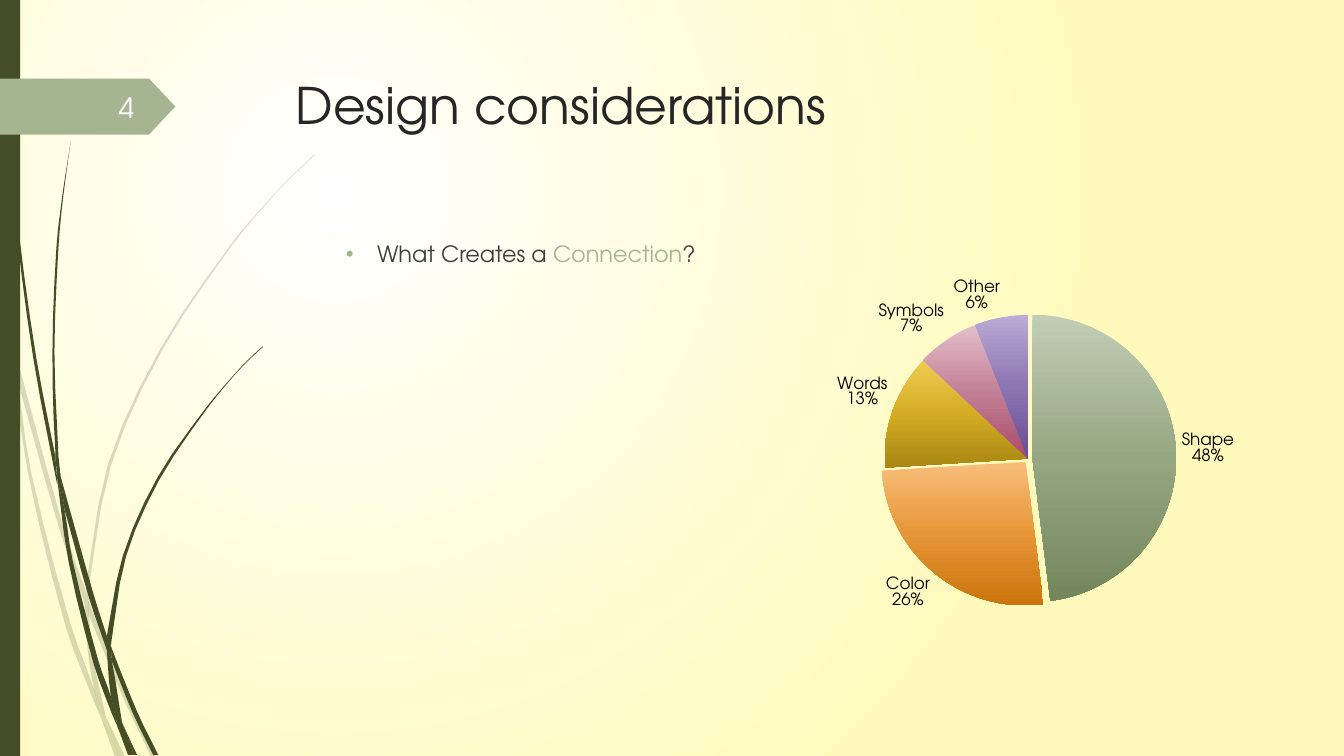
from math import dist

from pptx import Presentation
from pptx.chart.data import CategoryChartData
from pptx.dml.color import RGBColor
from pptx.enum.chart import XL_CHART_TYPE, XL_LABEL_POSITION
from pptx.enum.shapes import MSO_SHAPE
from pptx.enum.text import MSO_ANCHOR, MSO_AUTO_SIZE, PP_ALIGN
from pptx.oxml import parse_xml
from pptx.oxml.ns import nsdecls
from pptx.util import Inches, Pt

FONT = "TeX Gyre Adventor"
OLIVE, SAGE, INK, GREY = "444D26", "A5B592", "262626", "404040"
WIDTH, HEIGHT = Inches(13.33), Inches(7.5)

TITLE = "Design considerations"
NUMBER = "4"
QUESTION = [("What Creates a ", GREY), ("Connection", SAGE), ("?", GREY)]
BACKDROP = ["FFFFFF", "FFFABB"]

SLICES = [
    ("Shape", 0.48, 3, ["C2CDB5", "96A783", "73865B"]),
    ("Color", 0.26, 3, ["F8BE7A", "E69637", "CB740D"]),
    ("Words", 0.13, 0, ["EECB53", "D4AC24", "A98713"]),
    ("Symbols", 0.07, 0, ["E4BECB", "C28096", "AB4A6A"]),
    ("Other", 0.06, 0, ["BBABD5", "8D75B2", "684C94"]),
]
PLOT = {"x": 0.159, "y": 0.195, "w": 0.673, "h": 0.69}

AREAS = {
    "title": (21.25, 9.07, 73.14, 18.67),
    "question": (21.23, 31.07, 35.41, 55.07),
    "pie": (58.96, 30.93, 35.41, 55.07),
    "bar": (0, 0, 1.5, 100),
    "tag": (0, 10.4, 13.05, 7.4),
    "number": (4.35, 11.47, 6.38, 5.33),
}

PALE_GRASS = [
    ([(0, 2.82), (0.09, 3.22), (0.11, 3.5)], [(0.1, 3.44), (0, 2.99)]),
    ([(0.14, 3.45), (0.62, 5.2), (0.85, 5.86)], [(0.84, 5.99), (0.58, 5.22), (0.17, 3.76)]),
    ([(0.88, 5.96), (0.92, 6.07), (1.27, 6.92), (1.55, 7.51)], [(1.5, 7.51), (1.23, 6.94), (0.88, 6.1)]),
    ([(1.05, 7.11), (1.24, 7.51)], [(1.19, 7.51)]),
    ([(0.11, 3.5), (0.17, 3.76), (0.31, 4.69), (0.7, 6.19), (0.93, 6.83), (0.99, 7.07), (1.01, 7.14)],
     [(0.92, 6.93), (0.65, 6.21), (0.28, 4.7), (0.11, 3.5)]),
    ([(0.84, 5.99), (0.88, 6.08), (0.91, 6.46), (1.05, 7.11)], [(0.96, 6.92), (0.93, 6.83), (0.87, 6.46), (0.84, 5.99)]),
    ([(3.12, 1.53), (2.89, 1.75), (2.68, 1.97), (2.28, 2.44), (1.58, 3.48), (1.07, 4.61), (0.85, 5.84)],
     [(0.88, 5.96), (0.88, 5.84), (1.1, 4.62), (1.6, 3.49), (2.29, 2.45), (2.68, 1.98), (2.9, 1.75), (3.12, 1.54)]),
    ([(1.01, 7.14), (1.19, 7.51)], [(1.14, 7.51)]),
    ([(0.85, 5.86), (0.88, 5.96), (0.88, 6.1)], [(0.88, 6.08), (0.84, 5.99)]),
    ([(0.93, 6.83), (0.96, 6.92), (1.05, 7.11), (1.19, 7.51)], [(1.01, 7.14), (0.99, 7.07)]),
]
DARK_GRASS = [
    ([(0.03, 0), (0.04, 0.48), (0.07, 1.1), (0.17, 2.33), (0.33, 3.55), (0.56, 4.77), (0.57, 4.81)],
     [(0.55, 4.53), (0.36, 3.55), (0.19, 2.32), (0.08, 1.09), (0.05, 0.48), (0.04, 0)]),
    ([(0.6, 4.72), (0.93, 5.9), (1.06, 6.31)], [(1.06, 6.45), (0.88, 5.92), (0.64, 5.05)]),
    ([(1.1, 6.41), (1.13, 6.49), (1.36, 7.06), (1.57, 7.49)], [(1.52, 7.49), (1.32, 7.08), (1.11, 6.56)]),
    ([(0.57, 4.77), (0.64, 5.05), (0.72, 5.56), (0.98, 6.57), (1.1, 6.91), (1.17, 7.22)],
     [(1.11, 7.08), (0.93, 6.59), (0.68, 5.57), (0.57, 4.77)]),
    ([(0.7, 1.41), (0.62, 1.93), (0.56, 2.45), (0.52, 3.49), (0.55, 4.49), (0.6, 4.72)],
     [(0.58, 4.53), (0.54, 3.49), (0.58, 2.45), (0.63, 1.93), (0.7, 1.41)]),
    ([(1.22, 7.19), (1.36, 7.49)], [(1.33, 7.49)]),
    ([(0.55, 4.49), (0.6, 4.72), (0.64, 5.05)], [(0.57, 4.77), (0.55, 4.53)]),
    ([(2.6, 3.44), (2.45, 3.58), (2.31, 3.73), (2.04, 4.05), (1.56, 4.74), (1.22, 5.51), (1.06, 6.31)],
     [(1.1, 6.41), (1.11, 6.33), (1.25, 5.52), (1.58, 4.76), (2.05, 4.06), (2.31, 3.74), (2.45, 3.59), (2.61, 3.44)]),
    ([(1.17, 7.22), (1.31, 7.49)], [(1.27, 7.49)]),
    ([(1.06, 6.45), (1.11, 6.56), (1.21, 7.16), (1.22, 7.19)], [(1.16, 7.06), (1.1, 6.91), (1.06, 6.45)]),
    ([(1.06, 6.31), (1.1, 6.41), (1.11, 6.56)], [(1.09, 6.51), (1.06, 6.45)]),
    ([(1.1, 6.91), (1.16, 7.06), (1.22, 7.19), (1.33, 7.49)], [(1.3, 7.49), (1.17, 7.22), (1.16, 7.17)]),
]


def color(value):
    return RGBColor.from_string(value)


def area(name):
    return [int(share * side / 100) for share, side in zip(AREAS[name], (WIDTH, HEIGHT) * 2)]


def style(font, size, value):
    font.name, font.size = FONT, Pt(size)
    font.color.rgb = color(value)


def paint(shape, value):
    shape.shadow.inherit = False
    shape.fill.solid()
    shape.fill.fore_color.rgb = color(value)
    shape.line.fill.background()


def gradient(colors, direction):
    step = 100000 // (len(colors) - 1)
    stops = "".join(f'<a:gs pos="{i * step}"><a:srgbClr val="{value}"/></a:gs>'
                    for i, value in enumerate(colors))
    return f'<a:gradFill {nsdecls("a")} rotWithShape="1"><a:gsLst>{stops}</a:gsLst>{direction}</a:gradFill>'


def smooth(knots, steps=3):
    ends = [knots[0], *knots, knots[-1]]
    points = []
    for a, b, c, d in zip(ends, ends[1:], ends[2:], ends[3:]):
        pull, push = dist(b, c) / dist(a, c), dist(b, c) / dist(b, d)
        for t in (i / steps for i in range(steps)):
            points.append(tuple(
                q + (r - q) * t * t * (3 - 2 * t)
                + (r - p) * pull * t * (1 - t) ** 2 - (s - q) * push * t * t * (1 - t)
                for p, q, r, s in zip(a, b, c, d)))
    return points + [knots[-1]]


def add_grass(slide, blades, opacity):
    for edges in blades:
        outline = [(1000 * x, 1000 * y) for edge in edges for x, y in smooth(edge)]
        builder = slide.shapes.build_freeform(*outline[0], scale=Inches(1) / 1000)
        builder.add_line_segments(outline[1:], close=True)
        blade = builder.convert_to_shape()
        paint(blade, OLIVE)
        if opacity < 100:
            tint = blade._element.spPr.xpath("./a:solidFill/a:srgbClr")[0]
            tint.append(parse_xml(f'<a:alpha {nsdecls("a")} val="{opacity * 1000}"/>'))


def add_decor(slide):
    circle = '<a:path path="circle"><a:fillToRect l="50000" t="50000" r="100000" b="100000"/></a:path>'
    slide._element.cSld.insert(0, parse_xml(
        f'<p:bg {nsdecls("p")}><p:bgPr>{gradient(BACKDROP, circle)}'
        f'<a:effectLst {nsdecls("a")}/></p:bgPr></p:bg>'))
    add_grass(slide, PALE_GRASS, 20)
    add_grass(slide, DARK_GRASS, 100)
    paint(slide.shapes.add_shape(MSO_SHAPE.RECTANGLE, *area("bar")), OLIVE)
    tag = slide.shapes.add_shape(MSO_SHAPE.PENTAGON, *area("tag"))
    tag.adjustments[0] = 0.47
    paint(tag, SAGE)
    number = slide.shapes.add_textbox(*area("number")).text_frame
    number.word_wrap, number.vertical_anchor = True, MSO_ANCHOR.MIDDLE
    number.text = NUMBER
    number.paragraphs[0].alignment = PP_ALIGN.RIGHT
    style(number.paragraphs[0].runs[0].font, 20, "FEFFFF")


def add_words(slide):
    title, question = slide.placeholders
    for holder, name in ((title, "title"), (question, "question")):
        holder.left, holder.top, holder.width, holder.height = area(name)
        holder.text_frame.auto_size = MSO_AUTO_SIZE.NONE
        holder.text_frame.vertical_anchor = MSO_ANCHOR.TOP
    title.text_frame.text = TITLE
    heading = title.text_frame.paragraphs[0]
    heading.alignment = PP_ALIGN.LEFT
    style(heading.runs[0].font, 36, INK)
    line = question.text_frame.paragraphs[0]
    line.level = 1
    props = line._p.get_or_add_pPr()
    props.set("marL", str(Inches(0.81)))
    props.set("indent", str(Inches(-0.31)))
    for bullet in (f'<a:buClr {nsdecls("a")}><a:srgbClr val="{SAGE}"/></a:buClr>',
                   f'<a:buFont {nsdecls("a")} typeface="Arial"/>',
                   f'<a:buChar {nsdecls("a")} char="•"/>'):
        props.append(parse_xml(bullet))
    line.space_before = Pt(0)
    for words, value in QUESTION:
        run = line.add_run()
        run.text = words
        style(run.font, 16, value)


def add_pie(slide):
    names, shares, offsets, shades = zip(*SLICES)
    data = CategoryChartData(number_format="0%")
    data.categories = names
    data.add_series("Series 1", shares)
    chart = slide.shapes.add_chart(XL_CHART_TYPE.PIE, *area("pie"), data).chart
    chart.has_legend = chart.has_title = False
    plot = chart.plots[0]
    plot.vary_by_categories = plot.has_data_labels = True
    labels = plot.data_labels
    labels.show_category_name = labels.show_percentage = True
    labels.show_value = False
    labels.number_format, labels.number_format_is_linked = "0%", False
    labels.position = XL_LABEL_POSITION.OUTSIDE_END
    style(chart.font, 12, "000000")
    style(labels.font, 12, "000000")
    for flag in labels._element.xpath("./c:showBubbleSize"):
        flag.addnext(parse_xml(f'<c:separator {nsdecls("c")}>\n</c:separator>'))
    for i in range(len(SLICES)):
        plot.series[0].points[i].format.line.fill.background()
    looks = chart._chartSpace.xpath(".//c:dPt/c:spPr")
    for look, offset, colors in zip(looks, offsets, shades):
        look.insert(0, parse_xml(gradient(colors, '<a:lin ang="5400000" scaled="0"/>')))
        if offset:
            look.addprevious(parse_xml(f'<c:explosion {nsdecls("c")} val="{offset}"/>'))
    frame = "".join(f'<c:{key} val="{value}"/>' for key, value in PLOT.items())
    plot_area = chart._chartSpace.xpath(".//c:plotArea")[0]
    for default in plot_area.xpath("./c:layout"):
        plot_area.remove(default)
    plot_area.insert(0, parse_xml(
        f'<c:layout {nsdecls("c")}><c:manualLayout><c:layoutTarget val="inner"/>'
        f'<c:xMode val="edge"/><c:yMode val="edge"/>{frame}</c:manualLayout></c:layout>'))


def main():
    """Build the design considerations slide."""
    deck = Presentation()
    deck.slide_width, deck.slide_height = WIDTH, HEIGHT
    slide = deck.slides.add_slide(deck.slide_layouts[1])
    add_decor(slide)
    add_words(slide)
    add_pie(slide)
    deck.save("out.pptx")


if __name__ == "__main__":
    main()
